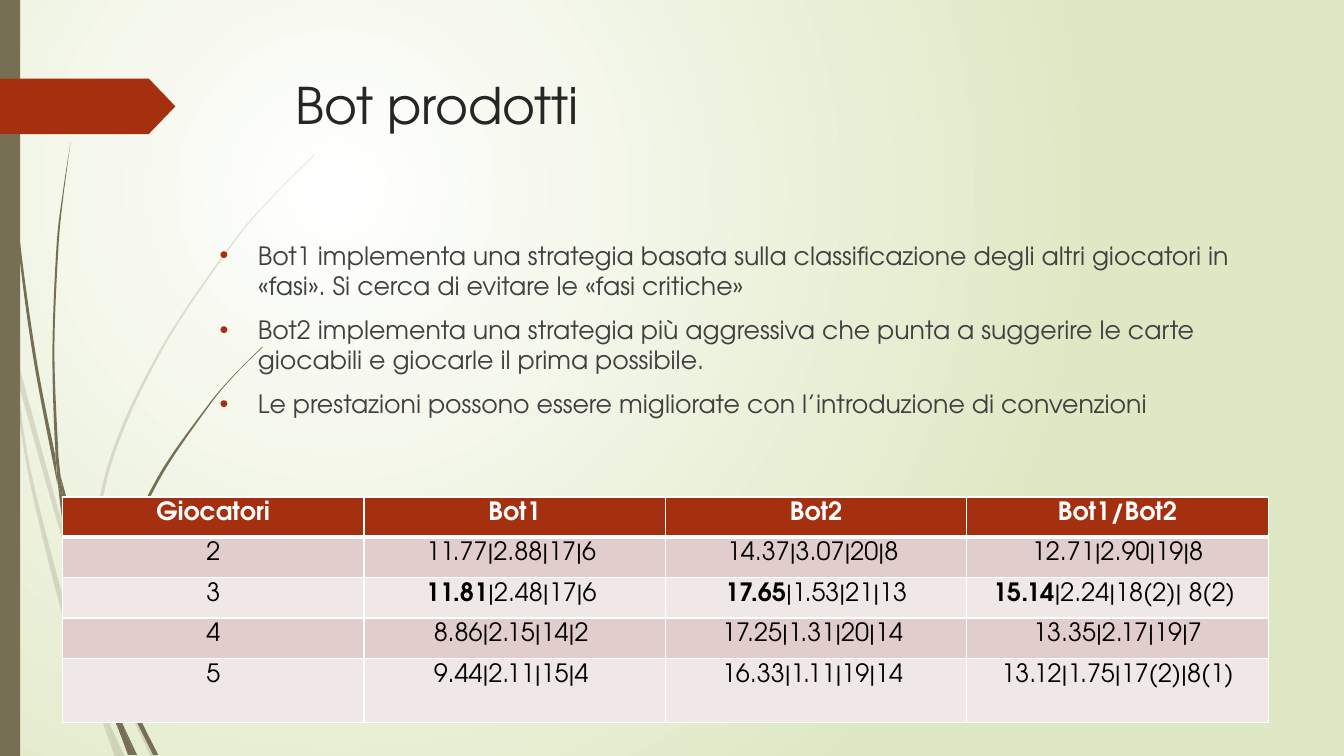
"""Build the slide "Bot prodotti" with its grass backdrop, bullets and results table."""
from dataclasses import dataclass

from pptx import Presentation
from pptx import util as u
from pptx.dml.color import RGBColor
from pptx.enum import shapes, text
from pptx.oxml import parse_xml
from pptx.oxml.ns import nsdecls, qn


@dataclass(frozen=True)
class Theme:
    """Hold the colours, font and type sizes."""
    font: str = "TeX Gyre Adventor"
    title_size: int = 36
    body_size: int = 18
    title: str = "262626"
    body: str = "404040"
    black: str = "000000"
    white: str = "FFFFFF"
    accent: str = "A53010"
    grass: str = "766F54"
    backdrop: str = "DFE8C4"
    bands: tuple = ("E1CDCC", "F0E8E7")


BULLETS = [
    "Bot1 implementa una strategia basata sulla classificazione degli altri giocatori in "
    "«fasi». Si cerca di evitare le «fasi critiche»",
    "Bot2 implementa una strategia più aggressiva che punta a suggerire le carte giocabili "
    "e giocarle il prima possibile.",
    "Le prestazioni possono essere migliorate con l’introduzione di convenzioni",
]
RESULTS = [
    ["Giocatori", "Bot1", "Bot2", "Bot1/Bot2"],
    ["2", "11.77|2.88|17|6 ", "14.37|3.07|20|8 ", "12.71|2.90|19|8"],
    ["3", "11.81|2.48|17|6 ", "17.65|1.53|21|13", "15.14|2.24|18(2)| 8(2) "],
    ["4", "8.86|2.15|14|2 ", "17.25|1.31|20|14 ", "13.35|2.17|19|7"],
    ["5", "9.44|2.11|15|4 ", "16.33|1.11|19|14 ", "13.12|1.75|17(2)|8(1)"],
]
BEST_ROW = 2
FAINT_BLADES = [
    ([(0.11, 3.5), (0.09, 3.22), (0, 2.82)], [(0, 2.99), (0.1, 3.44)]),
    ([(0.14, 3.45), (0.62, 5.2), (0.85, 5.86)], [(0.84, 5.99), (0.58, 5.22), (0.17, 3.76)]),
    ([(0.88, 5.96), (0.92, 6.07), (1.27, 6.92), (1.55, 7.51)], [(1.5, 7.51), (1.23, 6.94), (0.88, 6.1)]),
    ([(1.05, 7.11), (1.24, 7.51)], [(1.19, 7.51)]),
    ([(0.11, 3.5), (0.28, 4.7), (0.65, 6.21), (0.92, 6.93), (1.01, 7.14)],
     [(0.99, 7.07), (0.93, 6.83), (0.7, 6.19), (0.31, 4.69), (0.17, 3.76)]),
    ([(0.84, 5.99), (0.87, 6.46), (0.93, 6.83), (1.05, 7.11)], [(1.03, 7.06), (0.91, 6.46), (0.88, 6.08)]),
    ([(3.12, 1.53), (2.68, 1.97), (2.28, 2.44), (1.58, 3.48), (1.07, 4.61), (0.85, 5.84)],
     [(0.88, 5.96), (0.88, 5.84), (1.1, 4.62), (1.6, 3.49), (2.29, 2.45), (2.68, 1.98), (3.12, 1.54)]),
    ([(1.01, 7.14), (1.14, 7.51)], [(1.19, 7.51)]),
    ([(0.88, 6.1), (0.88, 5.96), (0.85, 5.86)], [(0.84, 5.99), (0.88, 6.08)]),
    ([(0.93, 6.83), (0.99, 7.07), (1.19, 7.51)], [(1.05, 7.11), (0.96, 6.92)]),
]
DARK_BLADES = [
    ([(0.03, 0), (0.07, 1.1), (0.17, 2.33), (0.33, 3.55), (0.57, 4.81)],
     [(0.55, 4.53), (0.36, 3.55), (0.19, 2.32), (0.08, 1.09), (0.04, 0)]),
    ([(0.6, 4.72), (0.93, 5.9), (1.06, 6.31)], [(1.06, 6.45), (0.88, 5.92), (0.64, 5.05)]),
    ([(1.1, 6.41), (1.36, 7.06), (1.57, 7.49)], [(1.52, 7.49), (1.32, 7.08), (1.11, 6.56)]),
    ([(0.57, 4.77), (0.68, 5.57), (0.93, 6.59), (1.11, 7.08), (1.17, 7.22)],
     [(1.1, 6.91), (0.98, 6.57), (0.72, 5.56), (0.64, 5.05)]),
    ([(0.7, 1.41), (0.62, 1.93), (0.56, 2.45), (0.52, 3.49), (0.55, 4.49), (0.6, 4.72)],
     [(0.58, 4.53), (0.54, 3.49), (0.58, 2.45), (0.63, 1.93)]),
    ([(1.22, 7.19), (1.36, 7.49)], [(1.33, 7.49)]),
    ([(0.57, 4.77), (0.64, 5.05)], [(0.6, 4.72), (0.55, 4.49)]),
    ([(2.6, 3.44), (2.31, 3.73), (2.04, 4.05), (1.56, 4.74), (1.22, 5.51), (1.06, 6.31)],
     [(1.1, 6.41), (1.11, 6.33), (1.25, 5.52), (1.58, 4.76), (2.05, 4.06), (2.31, 3.74), (2.61, 3.44)]),
    ([(1.17, 7.22), (1.27, 7.49)], [(1.31, 7.49)]),
    ([(1.06, 6.45), (1.1, 6.91), (1.22, 7.19)], [(1.21, 7.16), (1.11, 6.56)]),
    ([(1.06, 6.45), (1.11, 6.56)], [(1.1, 6.41), (1.06, 6.31)]),
    ([(1.1, 6.91), (1.17, 7.22), (1.3, 7.49)], [(1.33, 7.49), (1.22, 7.19)]),
]


def curve(points):
    """Return two handles and an end for each stretch of a smooth curve."""
    padded, result = [points[0], *points, points[-1]], []
    for before, start, end, after in zip(padded, padded[1:], padded[2:], padded[3:]):
        result += [tuple(b + (c - a) / 6 for a, b, c in zip(before, start, end)),
                   tuple(c - (d - b) / 6 for b, c, d in zip(start, end, after)), end]
    return result


def write(para, words, *, font, size, color, bold=False, align=None):
    """Add a formatted span of text to a paragraph."""
    span = para.add_run()
    span.text = words
    span.font.name, span.font.size, span.font.bold = font, u.Pt(size), bold
    span.font.color.rgb = RGBColor.from_string(color)
    if align is not None:
        para.alignment = align


class Painter:
    """Draw themed elements on the current page."""

    def __init__(self, page, theme):
        self.page, self.theme = page, theme

    def backdrop(self):
        fill = self.page.background.fill
        fill.gradient()
        for stop, color in zip(fill.gradient_stops, (self.theme.white, self.theme.backdrop)):
            stop.color.rgb = RGBColor.from_string(color)
        gradient = self.page._element.xpath(".//p:bg//a:gradFill")[0]
        for line in gradient.xpath("./a:lin"):
            gradient.remove(line)
        gradient.append(parse_xml(
            f'<a:path {nsdecls("a")} path="circle">'
            '<a:fillToRect l="25000" t="25000" r="75000" b="75000"/></a:path>'))

    def paint(self, shape, color, opacity=100):
        shape.shadow.inherit = False
        shape.line.fill.background()
        shape.fill.solid()
        shape.fill.fore_color.rgb = RGBColor.from_string(color)
        if opacity < 100:
            shape._element.xpath("./p:spPr/a:solidFill/a:srgbClr")[0].append(
                parse_xml(f'<a:alpha {nsdecls("a")} val="{opacity * 1000}"/>'))

    def blade(self, outward, back, opacity=100):
        points = [outward[0], *curve(outward), outward[-1], back[0], back[0], *curve(back)]
        first, *rest = [(u.Inches(x), u.Inches(y)) for x, y in points]
        builder = self.page.shapes.build_freeform(*first)
        builder.add_line_segments(rest, close=True)
        shape = builder.convert_to_shape()
        lines = shape._element.xpath(".//a:lnTo")
        for bend, handle, end in zip(lines[::3], lines[1::3], lines[2::3]):
            bend.tag = qn("a:cubicBezTo")
            for extra in (handle, end):
                bend.append(extra[0])
                extra.getparent().remove(extra)
        self.paint(shape, self.theme.grass, opacity)

    def block(self, kind, area, color):
        shape = self.page.shapes.add_shape(kind, *map(u.Inches, area))
        self.paint(shape, color)
        return shape

    def textbox(self, area, lines, *, size, color, bullets=False):
        frame = self.page.shapes.add_textbox(*map(u.Inches, area)).text_frame
        frame.word_wrap = True
        for index, line in enumerate(lines):
            para = frame.add_paragraph() if index else frame.paragraphs[0]
            write(para, line, font=self.theme.font, size=size, color=color)
            if bullets:
                self.bullet(para)

    def bullet(self, para):
        para.space_before = u.Pt(10)
        properties = para._p.get_or_add_pPr()
        indent = u.Inches(0.38)
        properties.set("marL", str(indent))
        properties.set("indent", str(-indent))
        for tag in (f'buClr {nsdecls("a")}><a:srgbClr val="{self.theme.accent}"/></a:buClr',
                    f'buFont {nsdecls("a")} typeface="Arial"/', f'buChar {nsdecls("a")} char="•"/'):
            properties.append(parse_xml(f"<a:{tag}>"))

    def table(self, area, rows, heights, best_row):
        grid = self.page.shapes.add_table(len(rows), len(rows[0]), *map(u.Inches, area)).table
        grid.first_row = grid.horz_banding = False
        for index, (row, height) in enumerate(zip(rows, heights)):
            grid.rows[index].height = u.Inches(height)
            for column, words in enumerate(row):
                self.cell(grid.cell(index, column), words, index, index == best_row and column > 0)

    def cell(self, cell, words, row, best):
        theme, header = self.theme, row == 0
        for side in "LRTB":
            width = u.Pt(3 if (row, side) in ((0, "B"), (1, "T")) else 1)
            cell._tc.get_or_add_tcPr().append(parse_xml(
                f'<a:ln{side} {nsdecls("a")} w="{width}"><a:solidFill>'
                f'<a:srgbClr val="{theme.white}"/></a:solidFill></a:ln{side}>'))
        cell.fill.solid()
        cell.fill.fore_color.rgb = RGBColor.from_string(theme.accent if header else theme.bands[(row - 1) % 2])
        score, bar, others = words.partition("|")
        for part, bold in [(score, True), (bar + others, False)] if best else [(words, header)]:
            write(cell.text_frame.paragraphs[0], part, font=theme.font, size=theme.body_size, bold=bold,
                  color=theme.white if header else theme.black, align=text.PP_ALIGN.CENTER)


def main():
    """Build and save the deck."""
    deck = Presentation()
    deck.slide_width, deck.slide_height = u.Inches(13.33), u.Inches(7.5)
    theme = Theme()
    painter = Painter(deck.slides.add_slide(deck.slide_layouts[6]), theme)
    painter.backdrop()
    for blades, opacity in ((FAINT_BLADES, 20), (DARK_BLADES, 100)):
        for outward, back in blades:
            painter.blade(outward, back, opacity)
    painter.block(shapes.MSO_SHAPE.RECTANGLE, (0, 0, 0.2, 7.5), theme.grass)
    flag = painter.block(shapes.MSO_SHAPE.PENTAGON, (0, 0.78, 1.74, 0.55), theme.accent)
    flag.adjustments[0] = 0.48
    painter.textbox((2.83, 0.69, 9.75, 1.4), ["Bot prodotti"], size=theme.title_size, color=theme.title)
    painter.textbox((2.08, 2.33, 10.5, 2.32), BULLETS, size=theme.body_size, color=theme.body, bullets=True)
    painter.table((0.62, 4.93, 11.96, 2.1), RESULTS, [0.36] * 4 + [0.64], BEST_ROW)
    deck.save("out.pptx")


if __name__ == "__main__":
    main()
